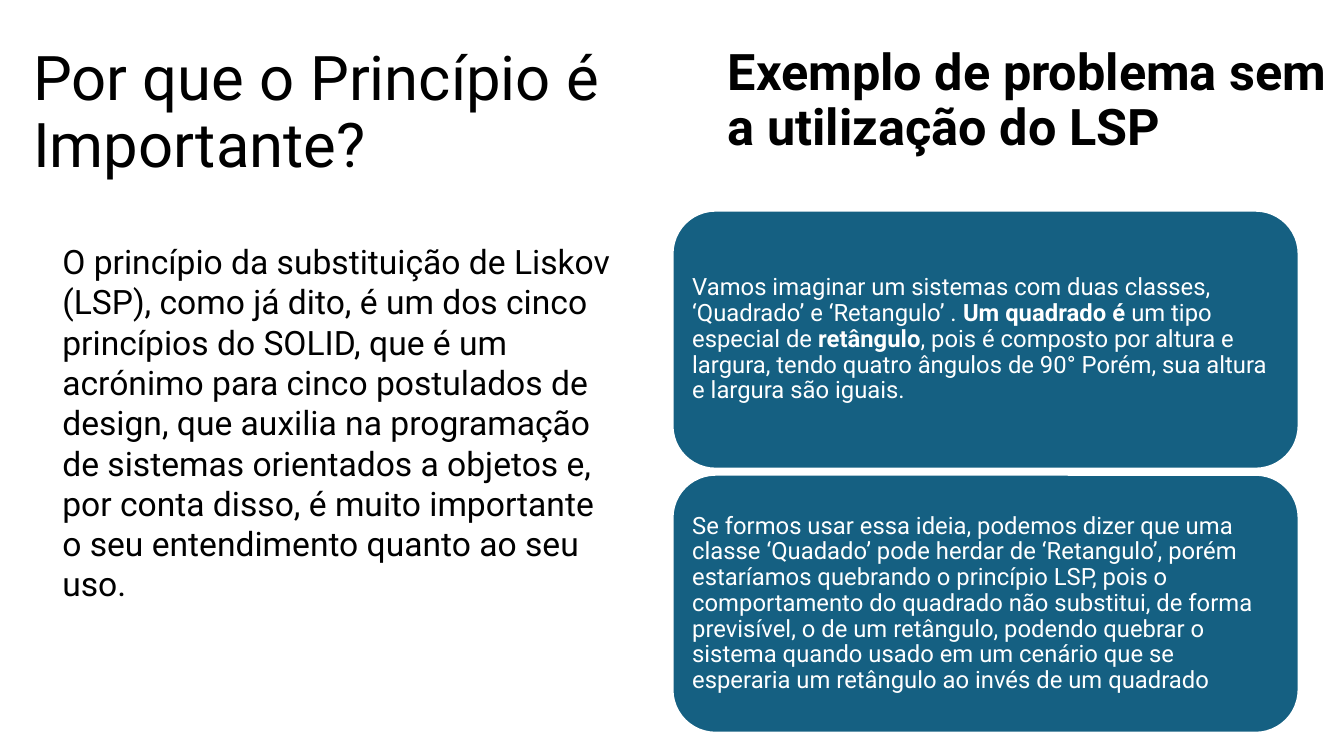
from pptx import Presentation
from pptx.dml.color import RGBColor
from pptx.enum.shapes import MSO_SHAPE
from pptx.enum.text import MSO_ANCHOR, MSO_AUTO_SIZE, PP_ALIGN
from pptx.util import Inches, Pt

ROUNDED = MSO_SHAPE.ROUNDED_RECTANGLE
TOP, MIDDLE = MSO_ANCHOR.TOP, MSO_ANCHOR.MIDDLE
NO_AUTOFIT = MSO_AUTO_SIZE.NONE
LEFT = PP_ALIGN.LEFT

FONT = "Roboto"
BLACK = RGBColor(0x00, 0x00, 0x00)
WHITE = RGBColor(0xFF, 0xFF, 0xFF)
BLUE = RGBColor(0x15, 0x60, 0x82)

# Each text is a list of (words, bold) runs
TITLE = [("Por que o Princípio é Importante?", False)]
EXAMPLE_HEADING = [("Exemplo de problema sem a utilização do LSP", True)]
EXPLANATION = [(
    "O princípio da substituição de Liskov (LSP), como já dito, é um dos cinco "
    "princípios do SOLID, que é um acrónimo para cinco postulados de design, que "
    "auxilia na programação de sistemas orientados a objetos e, por conta disso, "
    "é muito importante o seu entendimento quanto ao seu uso.", False)]
CARDS = [
    [("Vamos imaginar um sistemas com duas classes, ‘Quadrado’ e ‘Retangulo’ . ", False),
     ("Um quadrado é", True),
     (" um tipo especial de ", False),
     ("retângulo", True),
     (", pois é composto por altura e largura, tendo quatro ângulos de 90° Porém, "
      "sua altura e largura são iguais.", False)],
    [("Se formos usar essa ideia, podemos dizer que uma classe ‘Quadado’ pode herdar "
      "de ‘Retangulo’, porém estaríamos quebrando o princípio LSP, pois o "
      "comportamento do quadrado não substitui, de forma previsível, o de um "
      "retângulo, podendo quebrar o sistema quando usado em um cenário que se "
      "esperaria um retângulo ao invés de um quadrado", False)],
]

COLUMN_WIDTH = 6.21
HEADING_TOP, HEADING_HEIGHT = 0.42, 1.55
CARD_LEFT, CARD_TOP, CARD_HEIGHT, CARD_PITCH = 6.67, 2.09, 2.56, 2.62
CARD_INSET = Inches(0.07)


def write(shape, runs, size, color, anchor=TOP, line_spacing=0.9):
    """Fill a shape with one left-aligned paragraph and return the paragraph."""
    frame = shape.text_frame
    frame.word_wrap = True
    frame.auto_size = NO_AUTOFIT
    frame.vertical_anchor = anchor
    paragraph = frame.paragraphs[0]
    paragraph.alignment = LEFT
    paragraph.line_spacing = line_spacing
    for words, bold in runs:
        run = paragraph.add_run()
        run.text = words
        run.font.name = FONT
        run.font.size = Pt(size)
        run.font.bold = bold
        run.font.color.rgb = color
    return paragraph


def add_card(slide, top, runs):
    card = slide.shapes.add_shape(ROUNDED, Inches(CARD_LEFT), Inches(top),
                                  Inches(COLUMN_WIDTH), Inches(CARD_HEIGHT))
    card.shadow.inherit = False
    card.fill.solid()
    card.fill.fore_color.rgb = BLUE
    card.line.color.rgb = WHITE
    card.line.width = Pt(1.5)
    frame = card.text_frame
    frame.margin_left = frame.margin_right = CARD_INSET
    frame.margin_top = frame.margin_bottom = CARD_INSET
    write(card, runs, 17, WHITE, MIDDLE)


def main():
    presentation = Presentation()
    presentation.slide_width = Inches(13.33)
    presentation.slide_height = Inches(7.5)
    slide = presentation.slides.add_slide(presentation.slide_layouts.get_by_name("Title Only"))

    title = slide.shapes.title
    title.left, title.top = Inches(0.23), Inches(HEADING_TOP)
    title.width, title.height = Inches(COLUMN_WIDTH), Inches(HEADING_HEIGHT)
    write(title, TITLE, 44, BLACK)

    explanation = slide.shapes.add_textbox(Inches(0.02), Inches(2.34),
                                           Inches(COLUMN_WIDTH), Inches(3.33))
    paragraph = write(explanation, EXPLANATION, 24, BLACK, line_spacing=1.0)
    paragraph.level = 1
    properties = paragraph._p.get_or_add_pPr()
    properties.set("marL", str(Inches(0.5)))
    properties.set("indent", "0")

    heading = slide.shapes.add_textbox(Inches(7.12), Inches(HEADING_TOP),
                                       Inches(COLUMN_WIDTH), Inches(HEADING_HEIGHT))
    write(heading, EXAMPLE_HEADING, 36, BLACK)

    for index, runs in enumerate(CARDS):
        add_card(slide, CARD_TOP + index * CARD_PITCH, runs)

    presentation.save("out.pptx")


if __name__ == "__main__":
    main()
